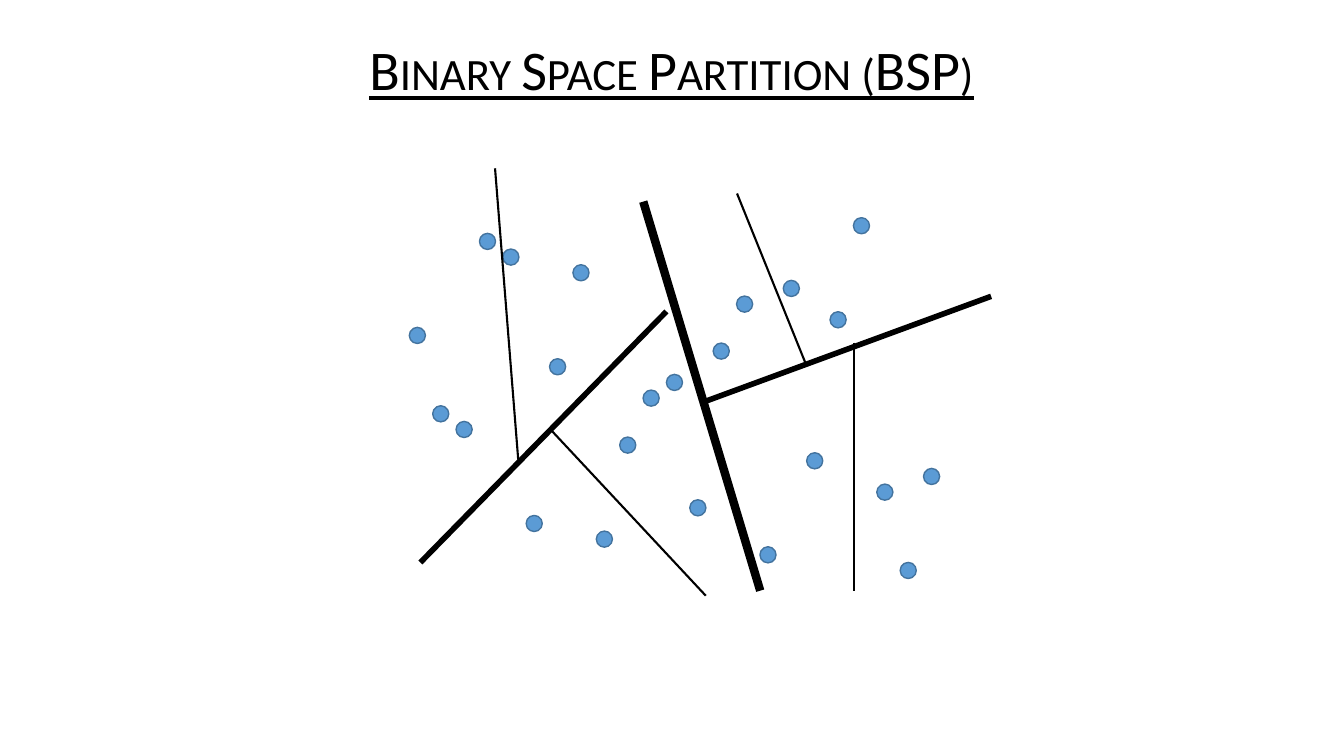
from pptx import Presentation
from pptx.dml.color import RGBColor
from pptx.enum.shapes import MSO_CONNECTOR, MSO_SHAPE
from pptx.enum.text import MSO_ANCHOR, PP_ALIGN
from pptx.oxml.ns import qn
from pptx.util import Pt
from lxml.etree import SubElement

PX = 9144  # EMU per px, 100 px to the inch
COLORS = {"ink": "000000", "dot": "5B9BD5", "dot_edge": "43739E"}

TITLE = "Binary Space Partition (BSP)"
TITLE_BOX = (174, 29, 984, 85)

# Every column of the point grid holds one dot; this is its row.
DOT_ROWS = [7, 12, 13, 1, 2, 19, 9, 3, 20, 14, 11, 10,
            18, 8, 5, 21, 4, 15, 6, 0, 17, 22, 16]
DOT_SIZE = 16
GRID_LEFT, GRID_TOP = 406, 216
GRID_WIDTH, GRID_HEIGHT = 510, 342

# Line width in points by depth in the partition tree
LEVEL_WIDTHS = {1: 6, 2: 4, 3: 1.5}
SPLITS = [  # level, start, end
    (3, (731, 192), (800, 363)),
    (1, (638, 200), (754, 586)),
    (2, (983, 294), (700, 398)),
    (3, (847, 340), (847, 586)),
    (3, (491, 167), (514, 456)),
    (3, (545, 425), (700, 591)),
    (2, (661, 309), (417, 558)),
]


def px(*lengths):
    return [round(n * PX) for n in lengths]


def color(name):
    return RGBColor.from_string(COLORS[name])


def add_title(slide):
    tf = slide.shapes.add_textbox(*px(*TITLE_BOX)).text_frame
    tf.word_wrap = True
    tf.vertical_anchor = MSO_ANCHOR.MIDDLE
    p = tf.paragraphs[0]
    p.alignment = PP_ALIGN.CENTER
    p.line_spacing = 0.9
    r = p.add_run()
    r.text = TITLE
    r.font.name = "Calibri"
    r.font.size = Pt(40)
    r.font.underline = True
    r.font.color.rgb = color("ink")
    r.font._element.set("cap", "small")


def add_dots(slide):
    steps = len(DOT_ROWS) - 1
    group = slide.shapes.add_group_shape()
    for col, row in enumerate(DOT_ROWS):
        left = GRID_LEFT + col * GRID_WIDTH / steps
        top = GRID_TOP + row * GRID_HEIGHT / steps
        sp = group.shapes.add_shape(
            MSO_SHAPE.OVAL, *px(left, top, DOT_SIZE, DOT_SIZE))
        sp.shadow.inherit = False
        sp.fill.solid()
        sp.fill.fore_color.rgb = color("dot")
        sp.line.color.rgb = color("dot_edge")
        sp.line.width = Pt(1)


def add_splits(slide):
    for level, start, end in SPLITS:
        line = slide.shapes.add_connector(
            MSO_CONNECTOR.STRAIGHT, *px(*start, *end))
        line.line.color.rgb = color("ink")
        line.line.width = Pt(LEVEL_WIDTHS[level])
        SubElement(line._element.spPr, qn("a:effectLst"))


def main():
    prs = Presentation()
    prs.slide_width, prs.slide_height = px(1333, 750)
    slide = prs.slides.add_slide(prs.slide_layouts[6])
    add_title(slide)
    add_dots(slide)
    add_splits(slide)
    prs.save("out.pptx")


if __name__ == "__main__":
    main()
